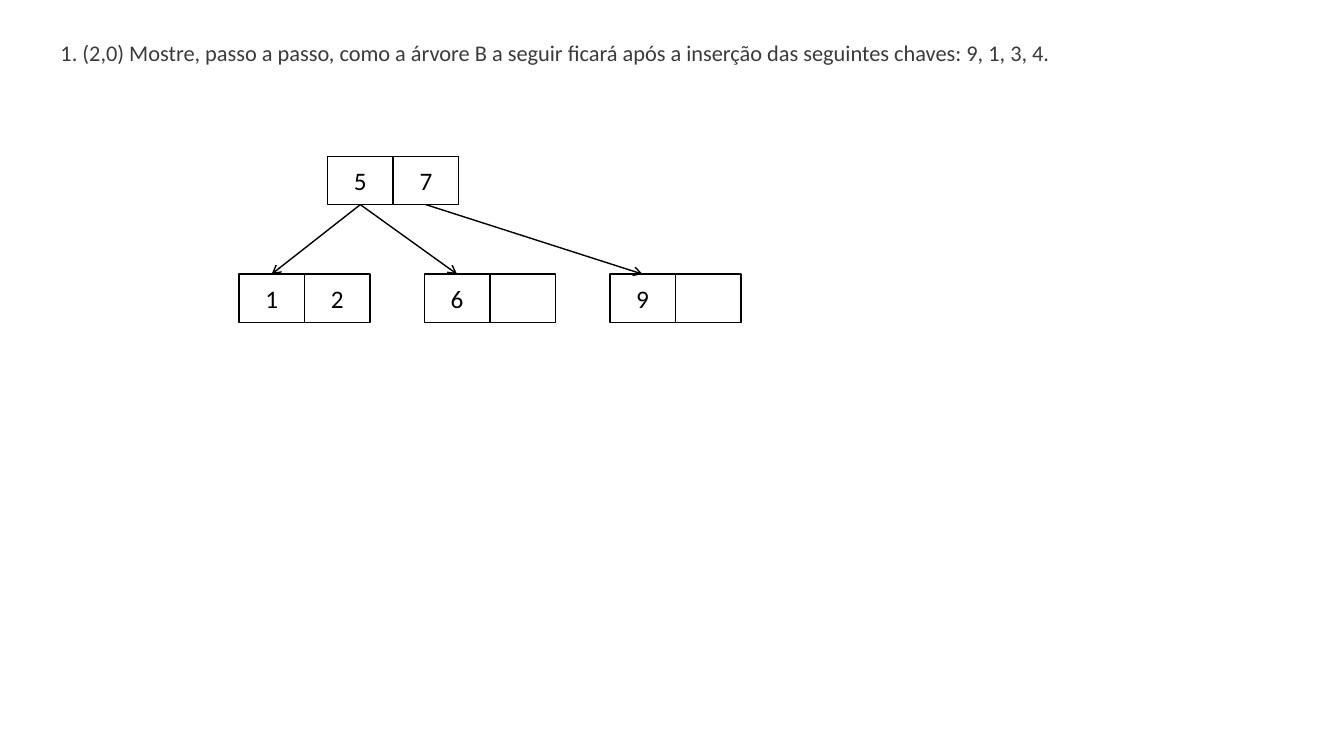
from lxml import etree
from pptx import Presentation
from pptx.dml.color import RGBColor
from pptx.enum import shapes, text
from pptx.oxml import ns
from pptx.util import Pt

CELL_WIDTH, CELL_HEIGHT = 46.8, 34.56
ROOT_LEFT, ROOT_TOP = 234, 111.6
LEAF_LEFT, LEAF_TOP, LEAF_STEP = 170.64, 195.84, 132.48
BOTTOM, TOP = 2, 0


def color(value):
    return RGBColor.from_string(value)


def write(frame, content, size=18, ink="000000", font="Calibri",
          align=text.PP_ALIGN.CENTER, anchor=text.MSO_ANCHOR.MIDDLE):
    frame.word_wrap = True
    frame.vertical_anchor = anchor
    paragraph = frame.paragraphs[0]
    paragraph.alignment = align
    run = paragraph.add_run()
    run.text = content
    run.font.size = Pt(size)
    run.font.name = font
    run.font.color.rgb = color(ink)


class TreeSlide:
    """Holds the line style and the slide on which the tree is drawn."""

    def __init__(self, slide, ink="000000", line_width=1):
        self.slide = slide
        self.ink = ink
        self.line_width = line_width

    def title(self, content, left, top, width, height):
        title = self.slide.shapes.title
        title.left, title.top = Pt(left), Pt(top)
        title.width, title.height = Pt(width), Pt(height)
        write(title.text_frame, content, size=16, ink="3B3B3B",
              align=text.PP_ALIGN.LEFT, anchor=text.MSO_ANCHOR.TOP)
        title.text_frame.auto_size = text.MSO_AUTO_SIZE.SHAPE_TO_FIT_TEXT

    def cell(self, key, left, top):
        cell = self.slide.shapes.add_shape(
            shapes.MSO_SHAPE.RECTANGLE, Pt(left), Pt(top),
            Pt(CELL_WIDTH), Pt(CELL_HEIGHT))
        cell.shadow.inherit = False
        cell.fill.background()
        cell.line.color.rgb = color(self.ink)
        cell.line.width = Pt(self.line_width)
        if key:
            write(cell.text_frame, key, ink=self.ink)
        return cell

    def node(self, keys, left, top):
        """Draw one cell per key, side by side, and return the cells."""
        return [self.cell(key, left + i * CELL_WIDTH, top)
                for i, key in enumerate(keys)]

    def arrow(self, parent, child):
        arrow = self.slide.shapes.add_connector(
            shapes.MSO_CONNECTOR.STRAIGHT, 0, 0, 0, 0)
        arrow.begin_connect(parent, BOTTOM)
        arrow.end_connect(child, TOP)
        arrow.line.color.rgb = color(self.ink)
        arrow.line.width = Pt(self.line_width)
        etree.SubElement(arrow.line._get_or_add_ln(), ns.qn("a:tailEnd"), type="arrow")
        etree.SubElement(arrow._element.spPr, ns.qn("a:effectLst"))


def main():
    presentation = Presentation()
    presentation.slide_width, presentation.slide_height = Pt(960), Pt(540)
    title_only = presentation.slide_layouts[5]
    tree = TreeSlide(presentation.slides.add_slide(title_only))

    tree.title("1. (2,0) Mostre, passo a passo, como a árvore B a seguir ficará "
               "após a inserção das seguintes chaves: 9, 1, 3, 4.",
               36, 24.48, 896.4, 26.64)

    five, seven = tree.node(["5", "7"], ROOT_LEFT, ROOT_TOP)
    leaves = [(five, ["1", "2"]), (five, ["6", ""]), (seven, ["9", ""])]
    for i, (parent, keys) in enumerate(leaves):
        leaf = tree.node(keys, LEAF_LEFT + i * LEAF_STEP, LEAF_TOP)
        tree.arrow(parent, leaf[0])

    presentation.save("out.pptx")


if __name__ == "__main__":
    main()
